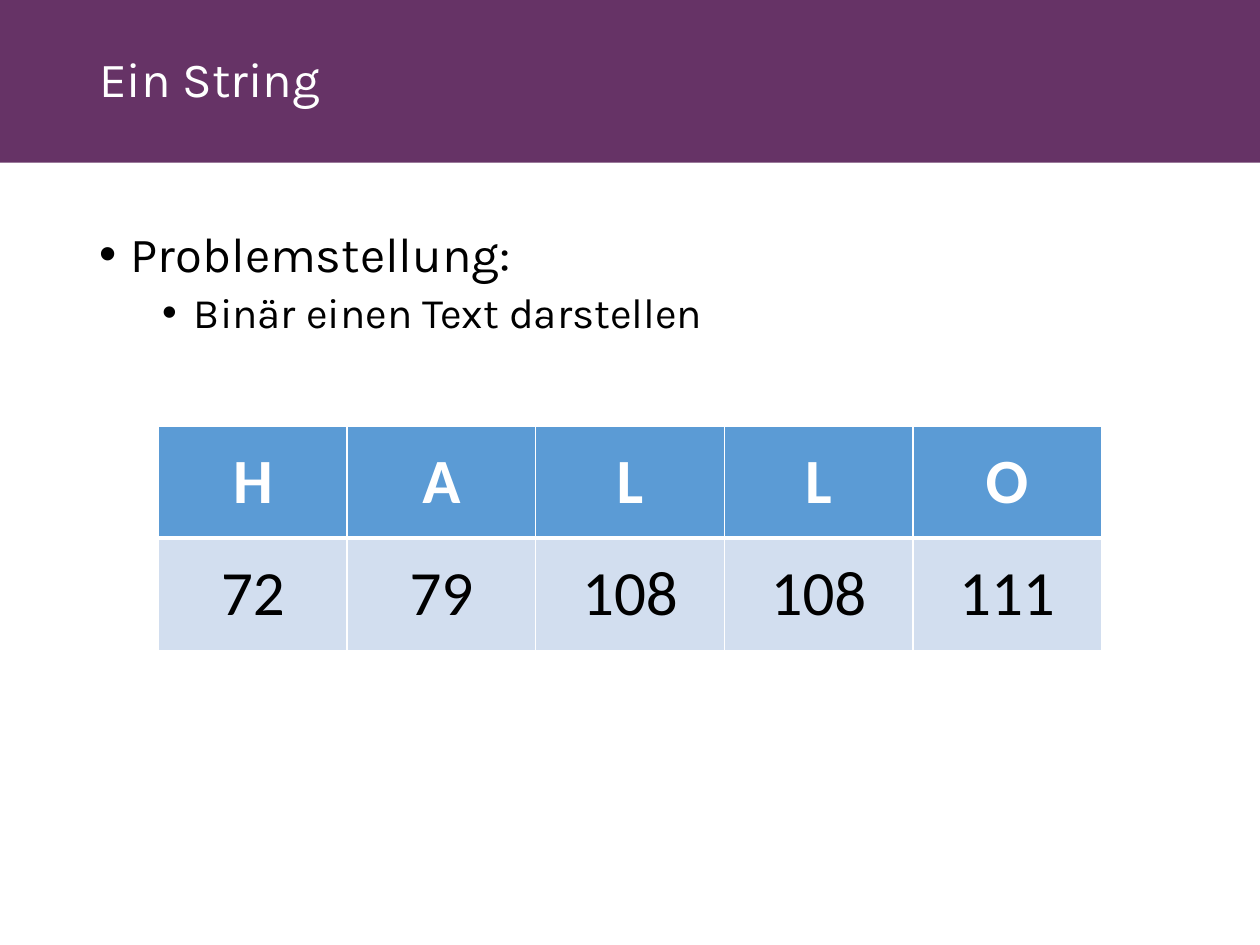
from lxml.etree import SubElement
from pptx import Presentation
from pptx.dml.color import RGBColor
from pptx.enum.shapes import MSO_SHAPE
from pptx.enum.text import MSO_ANCHOR, MSO_AUTO_SIZE, PP_ALIGN
from pptx.oxml.ns import qn
from pptx.util import Cm, Pt


def rgb(value):
    return RGBColor.from_string(value)


class Deck:
    """Holds the style and the current slide and adds its elements."""

    font, table_font = "Karla", "Calibri"
    purple, blue, pale = "663366", "5B9BD5", "D2DEEF"
    white, black = "FFFFFF", "000000"

    def __init__(self, prs):
        self.s = prs.slides.add_slide(prs.slide_layouts[5])

    def run(self, p, text, size, color, font, bold=False):
        r = p.add_run()
        r.text = text
        r.font.size = Pt(size)
        r.font.name = font
        r.font.bold = bold
        r.font.color.rgb = rgb(color)

    def title(self, text, left, top, width, height):
        sp = self.s.shapes.title
        sp.left, sp.top, sp.width, sp.height = left, top, width, height
        tf = sp.text_frame
        tf.auto_size = MSO_AUTO_SIZE.NONE
        tf.vertical_anchor = MSO_ANCHOR.MIDDLE
        p = tf.paragraphs[0]
        p.alignment = PP_ALIGN.LEFT
        p.line_spacing = 0.9
        self.run(p, text, 28, self.white, self.font)

    def band(self, left, top, width, height):
        sp = self.s.shapes.add_shape(MSO_SHAPE.RECTANGLE, left, top, width, height)
        sp.shadow.inherit = False
        sp.fill.solid()
        sp.fill.fore_color.rgb = rgb(self.purple)
        sp.line.fill.background()
        self.s.shapes.title.element.addprevious(sp.element)

    def bullets(self, items, left, top, width, height):
        tf = self.s.shapes.add_textbox(left, top, width, height).text_frame
        tf.word_wrap = True
        for i, (level, text, size, before) in enumerate(items):
            p = tf.add_paragraph() if i else tf.paragraphs[0]
            p.level = level
            p.line_spacing = 0.9
            p.space_before = Pt(before)
            pPr = p._p.get_or_add_pPr()
            pPr.set("marL", str(Cm(0.64 + 1.27 * level)))
            pPr.set("indent", str(-Cm(0.64)))
            SubElement(pPr, qn("a:buFont"), typeface="Arial")
            SubElement(pPr, qn("a:buChar"), char="•")
            self.run(p, text, size, self.black, self.font)

    def border(self, cell, side, width):
        tcPr = cell._tc.get_or_add_tcPr()
        ln = SubElement(tcPr, qn(f"a:ln{side}"), w=str(Pt(width)))
        fill = SubElement(ln, qn("a:solidFill"))
        SubElement(fill, qn("a:srgbClr"), val=self.white)

    def table(self, rows, left, top, width, height):
        shape = self.s.shapes.add_table(len(rows), len(rows[0]), left, top, width, height)
        for i, row in enumerate(rows):
            head = i == 0
            for j, text in enumerate(row):
                cell = shape.table.cell(i, j)
                edges = {"L": 1, "R": 1, "T": 1 if head else 3, "B": 3 if head else 1}
                for side, weight in edges.items():
                    self.border(cell, side, weight)
                cell.fill.solid()
                cell.fill.fore_color.rgb = rgb(self.blue if head else self.pale)
                cell.vertical_anchor = MSO_ANCHOR.MIDDLE
                p = cell.text_frame.paragraphs[0]
                p.alignment = PP_ALIGN.CENTER
                color = self.white if head else self.black
                self.run(p, text, 36, color, self.table_font, head)


def main():
    prs = Presentation()
    prs.slide_width, prs.slide_height = Cm(25.4), Cm(19.05)
    deck = Deck(prs)
    deck.title("Ein String", Cm(1.75), Cm(0), Cm(20.37), Cm(3.28))
    deck.band(Cm(0), Cm(0), prs.slide_width, Cm(3.28))
    deck.bullets(
        [(0, "Problemstellung:", 28, 10), (1, "Binär einen Text darstellen", 24, 5)],
        Cm(1.75), Cm(4.52), Cm(21.9), Cm(12.62),
    )
    deck.table(
        [["H", "A", "L", "L", "O"], ["72", "79", "108", "108", "111"]],
        Cm(3.2), Cm(8.59), Cm(19), Cm(4.52),
    )
    prs.save("out.pptx")


if __name__ == "__main__":
    main()
